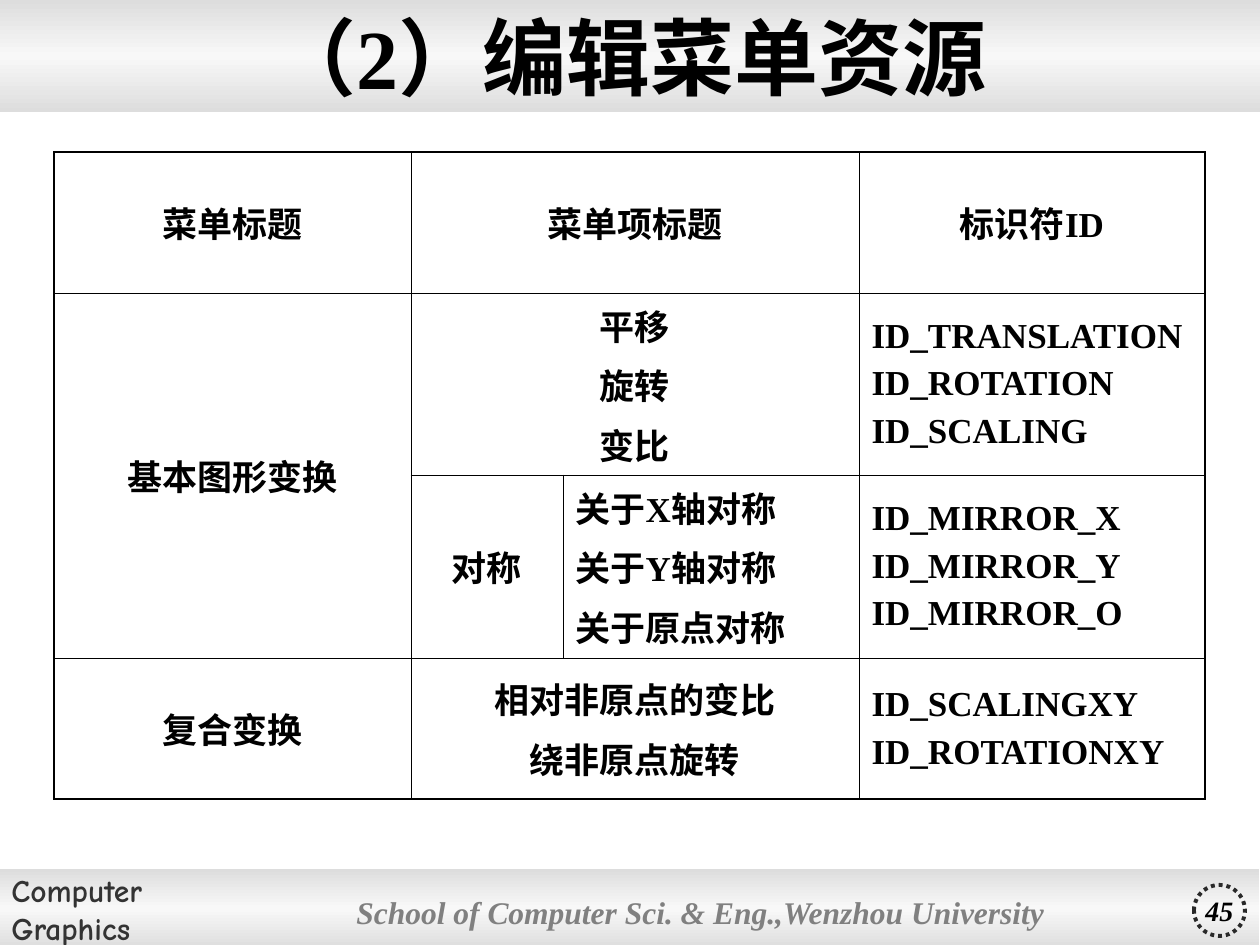
from copy import deepcopy

from lxml.etree import SubElement
from pptx import Presentation
from pptx.dml.color import RGBColor
from pptx.enum.dml import MSO_LINE
from pptx.enum.shapes import MSO_SHAPE as Shape
from pptx.enum.text import MSO_ANCHOR as Anchor, PP_ALIGN as Align
from pptx.oxml.ns import qn
from pptx.util import Emu, Pt

EMU_PER_PX = 914400 / 126
BLACK = RGBColor(0x00, 0x00, 0x00)
DARK = RGBColor(0x33, 0x33, 0x33)
RING = RGBColor(0x29, 0x29, 0x29)
GREY = RGBColor(0x80, 0x80, 0x80)
BAND_EDGE = RGBColor(0xDD, 0xDD, 0xDD)
BAND_MIDDLE = RGBColor(0xF8, 0xF8, 0xF8)
SERIF = "Times New Roman"
ROUNDED = "Comic Neue"
OUTER_RULE, INNER_RULE = Pt(1.08), Pt(0.45)

COLUMNS = [357, 152, 296, 346]
ROWS = [141, 182, 183, 141]
# (row, column, rows spanned, columns spanned, alignment, lines)
CELLS = [
    (0, 0, 1, 1, Align.CENTER, ["菜单标题"]),
    (0, 1, 1, 2, Align.CENTER, ["菜单项标题"]),
    (0, 3, 1, 1, Align.CENTER, ["标识符ID"]),
    (1, 0, 2, 1, Align.CENTER, ["基本图形变换"]),
    (1, 1, 1, 2, Align.CENTER, ["平移", "旋转", "变比"]),
    (1, 3, 1, 1, Align.LEFT, ["ID_TRANSLATION", "ID_ROTATION", "ID_SCALING"]),
    (2, 1, 1, 1, Align.CENTER, ["对称"]),
    (2, 2, 1, 1, Align.LEFT, ["关于X轴对称", "关于Y轴对称", "关于原点对称"]),
    (2, 3, 1, 1, Align.LEFT, ["ID_MIRROR_X", "ID_MIRROR_Y", "ID_MIRROR_O"]),
    (3, 0, 1, 1, Align.CENTER, ["复合变换"]),
    (3, 1, 1, 2, Align.CENTER, ["相对非原点的变比", "绕非原点旋转"]),
    (3, 3, 1, 1, Align.LEFT, ["ID_SCALINGXY", "ID_ROTATIONXY"]),
]


def px(*lengths):
    return [Emu(round(length * EMU_PER_PX)) for length in lengths]


def write(frame, lines, size, color=BLACK, font=SERIF, italic=False,
          align=Align.LEFT, gap=0):
    for i, line in enumerate(lines):
        paragraph = frame.add_paragraph() if i else frame.paragraphs[0]
        paragraph.text = line
        paragraph.alignment = align
        if i and gap:
            paragraph.space_before = Pt(gap)
        paragraph.font.name = font
        paragraph.font.size = Pt(size)
        paragraph.font.bold = True
        paragraph.font.italic = italic
        paragraph.font.color.rgb = color


def add_band(slide, *box):
    band = slide.shapes.add_shape(Shape.RECTANGLE, *px(*box))
    band.shadow.inherit = False
    band.line.fill.background()
    band.fill.gradient()
    band.fill.gradient_angle = 90
    stop_list = band.fill.gradient_stops[0]._gs.getparent()
    stop_list.append(deepcopy(stop_list[0]))
    looks = [(0, BAND_EDGE), (0.5, BAND_MIDDLE), (1, BAND_EDGE)]
    for stop, (position, color) in zip(band.fill.gradient_stops, looks):
        stop.position = position
        stop.color.rgb = color
    band.text_frame.vertical_anchor = Anchor.MIDDLE
    return band


def add_label(slide, box, text, size, **style):
    label = slide.shapes.add_textbox(*px(*box))
    label.text_frame.word_wrap = True
    label.text_frame.vertical_anchor = Anchor.MIDDLE
    write(label.text_frame, [text], size, **style)


def add_page_number(slide, box, number):
    ring = slide.shapes.add_shape(Shape.OVAL, *px(*box))
    ring.shadow.inherit = False
    ring.fill.background()
    ring.line.color.rgb = RING
    ring.line.width = Pt(2.25)
    ring.line.dash_style = MSO_LINE.ROUND_DOT
    ring.text_frame.word_wrap = False
    ring.text_frame.vertical_anchor = Anchor.MIDDLE
    write(ring.text_frame, [number], 16, italic=True, align=Align.CENTER)


def rule_cell(cell, left, right, top, bottom):
    """Draw the four borders; each argument tells if that side is outer."""
    properties = cell._tc.get_or_add_tcPr()
    sides = {"a:lnL": left, "a:lnR": right, "a:lnT": top, "a:lnB": bottom}
    for i, (tag, outer) in enumerate(sides.items()):
        border = SubElement(properties, qn(tag),
                            w=str(OUTER_RULE if outer else INNER_RULE))
        fill = SubElement(border, qn("a:solidFill"))
        SubElement(fill, qn("a:srgbClr"), val=str(BLACK))
        properties.insert(i, border)


def add_menu_table(slide, left, top):
    frame = slide.shapes.add_table(
        len(ROWS), len(COLUMNS), *px(left, top, sum(COLUMNS), sum(ROWS)))
    table = frame.table
    table.first_row = table.horz_banding = False
    for column, width in zip(table.columns, px(*COLUMNS)):
        column.width = width
    for row, height in zip(table.rows, px(*ROWS)):
        row.height = height
    for row, column, down, across, align, lines in CELLS:
        cell = table.cell(row, column)
        last_row, last_column = row + down - 1, column + across - 1
        if down * across > 1:
            cell.merge(table.cell(last_row, last_column))
        cell.fill.background()
        cell.vertical_anchor = Anchor.MIDDLE
        rule_cell(cell, column == 0, last_column == len(COLUMNS) - 1,
                  row == 0, last_row == len(ROWS) - 1)
        write(cell.text_frame, lines, 20, align=align, gap=5)


def main():
    deck = Presentation()
    deck.slide_width, deck.slide_height = px(1260, 945)
    slide = deck.slides.add_slide(deck.slide_layouts[6])

    # Footer and header bands
    footer = add_band(slide, -1, 869, 1260, 79)
    write(footer.text_frame, ["Computer", "Graphics"], 18, DARK, ROUNDED)
    add_band(slide, 0, 0, 1260, 112)

    # Footer text and page number
    add_label(slide, (344, 870, 767, 83),
              "School of Computer Sci. & Eng.,Wenzhou University", 18,
              color=GREY, italic=True)
    add_page_number(slide, (1194, 885, 51, 51), "45")

    # Title and menu resources
    add_label(slide, (0, 6, 1260, 100), "（2）编辑菜单资源", 48,
              align=Align.CENTER)
    add_menu_table(slide, 54, 152)

    deck.save("out.pptx")


if __name__ == "__main__":
    main()
